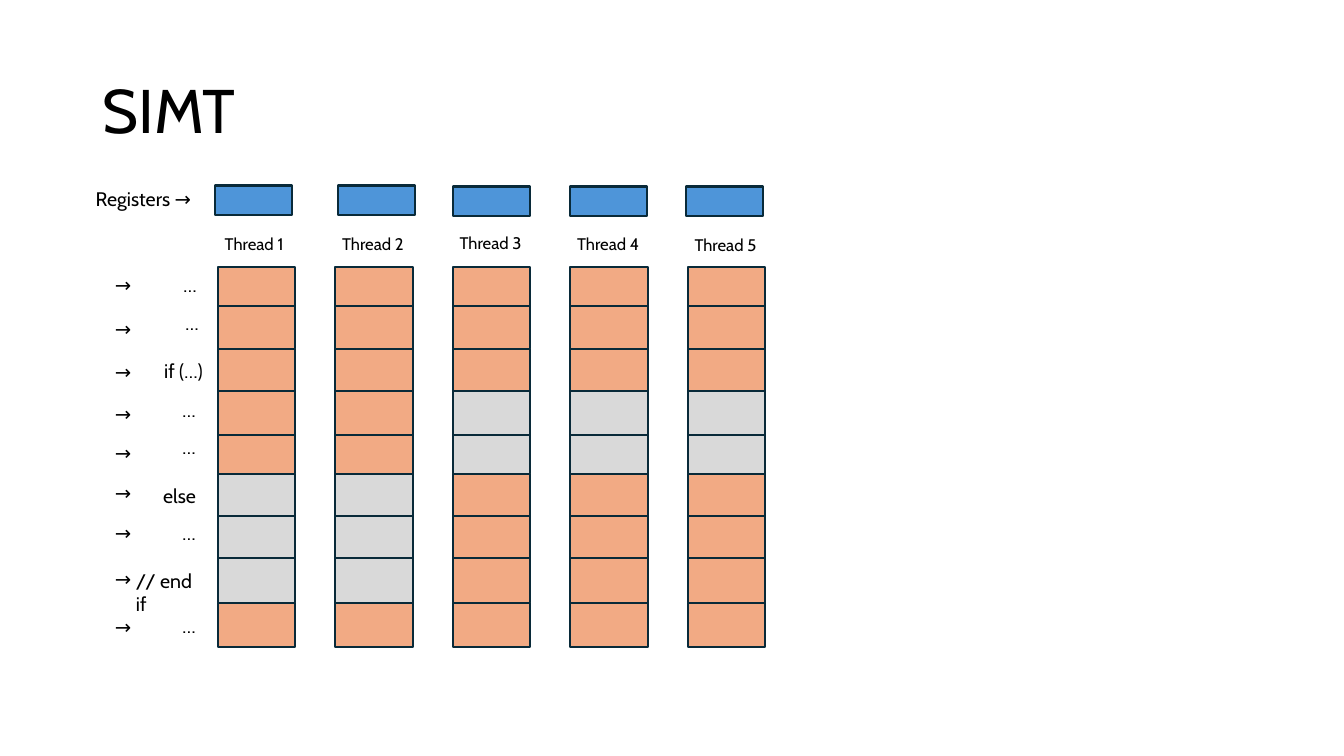
import pptx
import pptx.dml.color
import pptx.enum.shapes
import pptx.enum.text
import pptx.util

Inches = pptx.util.Inches
ORANGE, GREY, BLUE, OUTLINE = "F2AA84", "D9D9D9", "4E95D9", "092A39"

prs = pptx.Presentation()
prs.slide_width, prs.slide_height = Inches(13.33), Inches(7.5)
s = prs.slides.add_slide(prs.slide_layouts[5])


def write(sp, text, size, anchor=pptx.enum.text.MSO_ANCHOR.TOP):
    tf = sp.text_frame
    tf.word_wrap = True
    tf.vertical_anchor = anchor
    p = tf.paragraphs[0]
    p.alignment = pptx.enum.text.PP_ALIGN.LEFT
    r = p.add_run()
    r.text = text
    for name, value in {"name": "Cabin", "size": pptx.util.Pt(size)}.items():
        setattr(r.font, name, value)
    r.font.color.rgb = pptx.dml.color.RGBColor.from_string("000000")
    return p


def box(x, y, w, h, fill):
    sp = s.shapes.add_shape(pptx.enum.shapes.MSO_SHAPE.RECTANGLE,
                            Inches(x), Inches(y), Inches(w), Inches(h))
    sp.shadow.inherit = False
    sp.fill.solid()
    sp.fill.fore_color.rgb = pptx.dml.color.RGBColor.from_string(fill)
    sp.line.color.rgb = pptx.dml.color.RGBColor.from_string(OUTLINE)
    sp.line.width = pptx.util.Pt(1.5)


title = s.shapes.title
for name, value in {"left": 0.92, "top": 0.4, "width": 11.5, "height": 1.45}.items():
    setattr(title, name, Inches(value))
write(title, "SIMT", 44, pptx.enum.text.MSO_ANCHOR.MIDDLE).line_spacing = 0.9

# Threads: register left and top, label top, instruction rows that are idle
threads = [
    (2.13, 1.84, 2.27, (5, 6, 7)),
    (3.35, 1.84, 2.27, (5, 6, 7)),
    (4.49, 1.85, 2.26, (3, 4)),
    (5.65, 1.85, 2.27, (3, 4)),
    (6.8, 1.85, 2.28, (3, 4)),
]
row_tops = [2.65, 3.04, 3.46, 3.88, 4.32, 4.7, 5.12, 5.54, 5.98]
labels = [("Registers →", 0.85, 1.81, 1.22, 14)]

for i, (register_x, register_y, label_y, idle) in enumerate(threads):
    x = 2.16 + 1.165 * i
    for row, y in enumerate(row_tops):
        box(x, y, 0.77, 0.44, GREY if row in idle else ORANGE)
    box(register_x, register_y, 0.77, 0.29, BLUE)
    labels.append((f"Thread {i + 1}", x - 0.03, label_y, 0.85, 12))

# Instructions: arrow top, then text, left, top and width
instructions = [
    (2.66, "…", 1.72, 2.66, 0.36),
    (3.09, "…", 1.74, 3.04, 0.36),
    (3.52, "if (…)", 1.53, 3.51, 0.63),
    (3.94, "…", 1.71, 3.9, 0.36),
    (4.33, "…", 1.71, 4.27, 0.36),
    (4.72, "else", 1.52, 4.75, 0.55),
    (5.12, "…", 1.71, 5.12, 0.36),
    (5.58, "// end if", 1.25, 5.59, 0.85),
    (6.05, "…", 1.71, 6.04, 0.36),
]
for arrow_y, text, x, y, w in instructions:
    labels += [("→", 1.04, arrow_y, 0.39, 14), (text, x, y, w, 14)]

for text, x, y, w, size in labels:
    height = 0.34 if size == 14 else 0.3
    write(s.shapes.add_textbox(Inches(x), Inches(y), Inches(w), Inches(height)), text, size)

prs.save("out.pptx")
